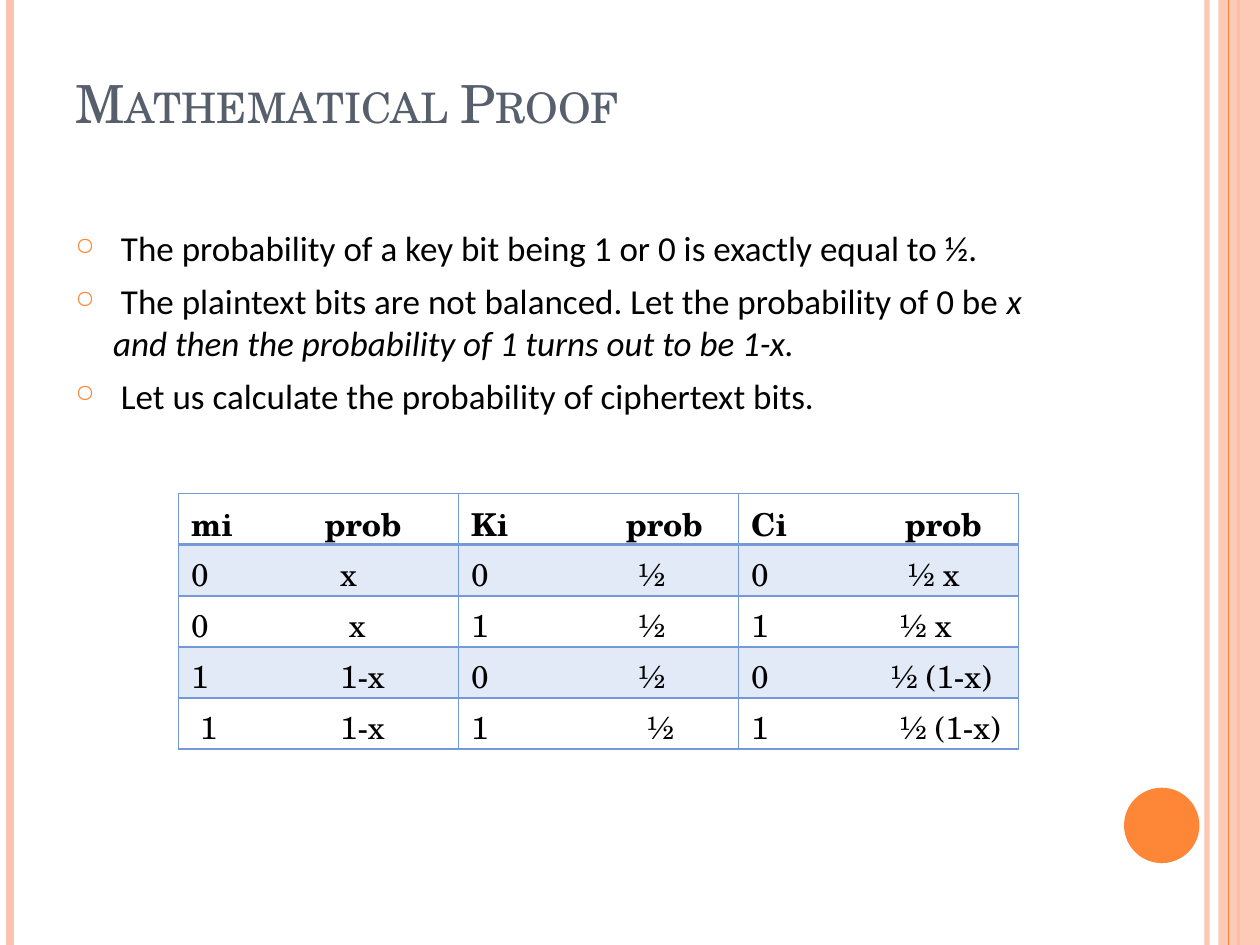
from dataclasses import dataclass

from lxml.etree import SubElement
from pptx import Presentation
from pptx.dml.color import RGBColor
from pptx.enum.shapes import MSO_CONNECTOR, MSO_SHAPE
from pptx.enum.text import MSO_ANCHOR
from pptx.oxml.ns import qn
from pptx.util import Cm, Pt


@dataclass(frozen=True)
class Theme:
    peach: str = "FEC3AE"
    orange: str = "FE8637"
    slate: str = "575F6D"
    blue: str = "7598D9"
    ink: str = "000000"
    serif: str = "TeX Gyre Schola"
    sans: str = "Calibri"
    title: int = 30
    body: int = 20
    table: int = 18


@dataclass(frozen=True)
class Box:
    x: float
    y: float
    w: float
    h: float

    def emu(self):
        return Cm(self.x), Cm(self.y), Cm(self.w), Cm(self.h)


T = Theme()

BULLETS = [
    [(" The probability of a key bit being 1 or 0 is exactly equal to ½.", False)],
    [(" The plaintext bits are not balanced. Let the probability of 0 be ", False),
     ("x and then the probability of 1 turns out to be 1-x.", True)],
    [(" Let us calculate the probability of ciphertext bits.", False)],
]

# Each cell: bit, probability, tab stop of the probability in cm
ROWS = [
    [("mi", "prob", 2.69), ("Ki", "prob", 3.12), ("Ci", "prob", 3.1)],
    [("0", "x", 3), ("0", "½", 3.37), ("0", "½ x", 3.16)],
    [("0", "x", 3.18), ("1", "½", 3.37), ("1", "½ x", 3)],
    [("1", "1-x", 3), ("0", "½", 3.37), ("0", "½ (1-x)", 2.82)],
    [(" 1", "1-x", 3), ("1", "½", 3.55), ("1", "½ (1-x)", 3)],
]


def add_text(p, text, *, font, size, color, bold=False, italic=False, small_caps=False):
    r = p.add_run()
    r.text = text
    f = r.font
    f.name, f.size, f.bold, f.italic = font, Pt(size), bold, italic
    f.color.rgb = RGBColor.from_string(color)
    if small_caps:
        r._r.get_or_add_rPr().set("cap", "small")


def set_alpha(parent, percent):
    for clr in parent.iter(qn("a:srgbClr")):
        SubElement(clr, qn("a:alpha"), val=str(percent * 1000))


def add_text_box(s, box, anchor=MSO_ANCHOR.TOP):
    tf = s.shapes.add_textbox(*box.emu()).text_frame
    tf.word_wrap = True
    tf.vertical_anchor = anchor
    return tf


def add_filled(s, kind, box, color):
    sp = s.shapes.add_shape(kind, *box.emu())
    sp.shadow.inherit = False
    sp.fill.solid()
    sp.fill.fore_color.rgb = RGBColor.from_string(color)
    sp.line.fill.background()
    return sp


def add_rule(s, box, x, color, width):
    left = Cm(box.x + x)
    ln = s.shapes.add_connector(MSO_CONNECTOR.STRAIGHT, left, Cm(box.y),
                                left, Cm(box.y + box.h))
    ln.line.color.rgb = RGBColor.from_string(color)
    ln.line.width = Pt(width)
    SubElement(ln._element.spPr, qn("a:effectLst"))
    return ln


def add_frame(s, box):
    """Vertical rules, right band and dot around the page."""
    set_alpha(add_rule(s, box, 24.33, T.peach, 3)._element.spPr, 93)
    add_rule(s, box, 0.21, T.peach, 4.5)
    add_rule(s, box, 24.97, T.orange, 1.5)
    band = add_filled(s, MSO_SHAPE.RECTANGLE,
                      Box(box.x + 24.56, box.y, 0.84, box.h), T.peach)
    set_alpha(band._element.spPr, 87)
    add_rule(s, box, 24.76, T.orange, 0.75)
    add_filled(s, MSO_SHAPE.OVAL, Box(box.x + 22.66, box.y + 15.88, 1.52, 1.52), T.orange)


def add_title(s, box):
    tf = add_text_box(s, box, MSO_ANCHOR.BOTTOM)
    add_text(tf.paragraphs[0], "Mathematical Proof", font=T.serif, size=T.title,
             color=T.slate, small_caps=True)


def add_bullets(s, box):
    tf = add_text_box(s, box)
    for i, runs in enumerate(BULLETS):
        p = tf.add_paragraph() if i else tf.paragraphs[0]
        pPr = p._p.get_or_add_pPr()
        pPr.set("marL", str(Cm(0.76)))
        pPr.set("indent", str(-Cm(0.76)))
        SubElement(SubElement(pPr, qn("a:buClr")), qn("a:srgbClr"), val=T.orange)
        SubElement(pPr, qn("a:buSzPct"), val="70000")
        SubElement(pPr, qn("a:buChar"), char="○")
        p.space_before = Pt(6 if i else 0)
        for text, italic in runs:
            add_text(p, text, font=T.sans, size=T.body, color=T.ink, italic=italic)


def set_borders(cell, widths):
    tcPr = cell._tc.get_or_add_tcPr()
    for i, (side, width) in enumerate(widths.items()):
        ln = SubElement(tcPr, qn(f"a:ln{side}"), w=str(Pt(width)))
        SubElement(SubElement(ln, qn("a:solidFill")), qn("a:srgbClr"), val=T.blue)
        tcPr.remove(ln)
        tcPr.insert(i, ln)


def add_probability_table(s, box):
    tbl = s.shapes.add_table(len(ROWS), len(ROWS[0]), *box.emu()).table
    tbl.first_row = tbl.horz_banding = False
    for i, row in enumerate(ROWS):
        for j, (bit, prob, tab) in enumerate(row):
            cell = tbl.cell(i, j)
            if i % 2:
                cell.fill.solid()
                cell.fill.fore_color.rgb = RGBColor.from_string(T.blue)
                set_alpha(cell._tc.tcPr, 20)
            else:
                cell.fill.background()
            # The line under the header is twice as thick
            set_borders(cell, {"L": 1, "R": 1, "T": 2 if i == 1 else 1,
                               "B": 1 if i else 2})
            p = cell.text_frame.paragraphs[0]
            tabs = SubElement(p._p.get_or_add_pPr(), qn("a:tabLst"))
            SubElement(tabs, qn("a:tab"), pos=str(Cm(tab)), algn="l")
            add_text(p, f"{bit}\t{prob}", font=T.serif, size=T.table,
                     color=T.ink, bold=i == 0)


def main():
    prs = Presentation()
    prs.slide_width, prs.slide_height = Cm(25.4), Cm(19.05)
    s = prs.slides.add_slide(prs.slide_layouts[6])
    add_frame(s, Box(0, 0, 25.4, 19.05))
    add_title(s, Box(1.27, 0.76, 20.75, 2.06))
    add_bullets(s, Box(1.27, 4.45, 20.75, 13.54))
    add_probability_table(s, Box(3.6, 9.95, 16.93, 5.15))
    prs.save("out.pptx")


if __name__ == "__main__":
    main()
